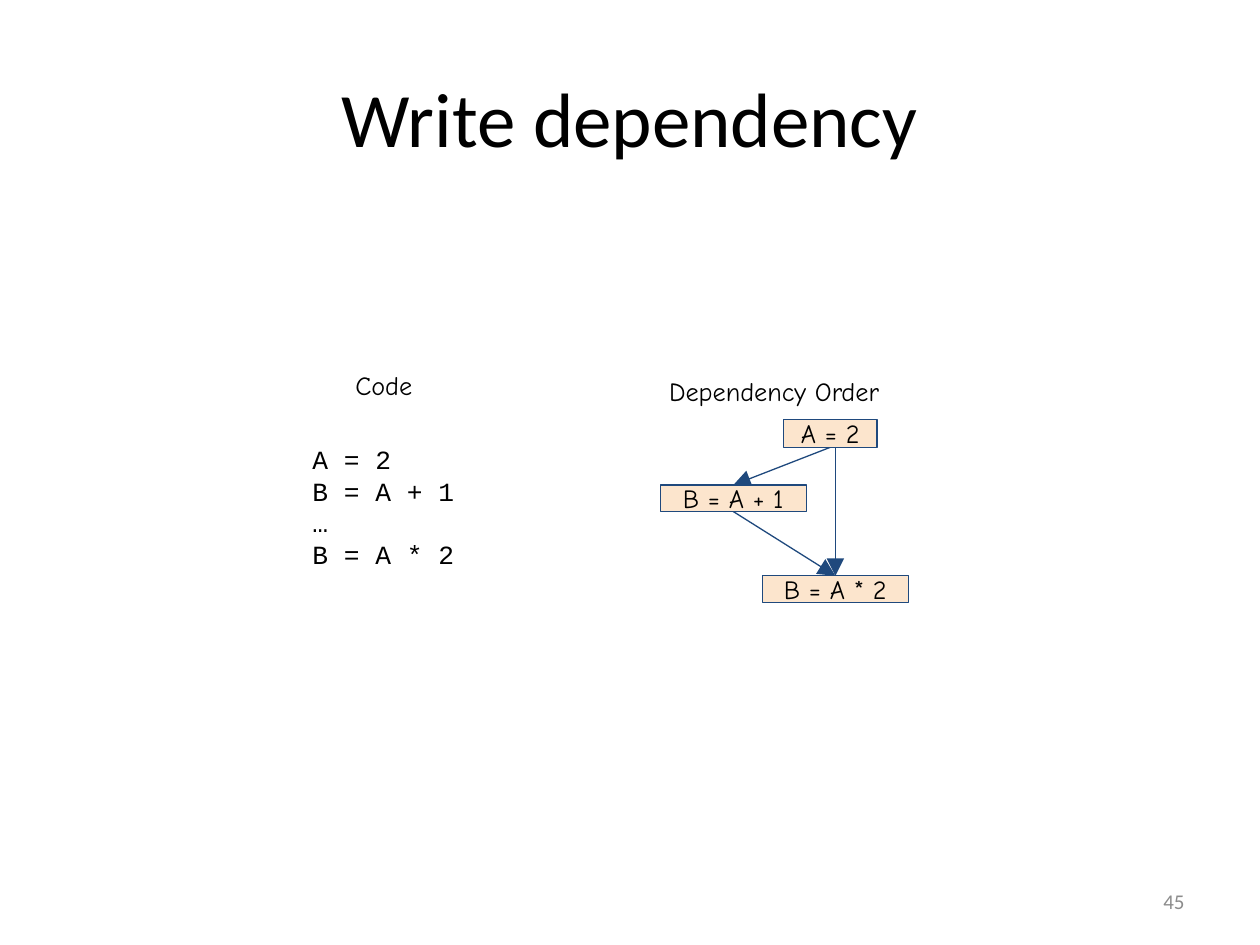
from lxml.etree import SubElement
from pptx import Presentation
from pptx.dml.color import RGBColor
from pptx.enum.shapes import MSO_CONNECTOR, MSO_SHAPE
from pptx.enum.text import MSO_ANCHOR, PP_ALIGN
from pptx.oxml.ns import qn
from pptx.util import Inches, Pt

BLACK = RGBColor(0x00, 0x00, 0x00)
GRAY = RGBColor(0x8C, 0x8C, 0x8C)
NAVY = RGBColor(0x1F, 0x49, 0x7D)
PEACH = RGBColor(0xFC, 0xE5, 0xCD)


def write(shape, text, font="Comic Neue", size=15, color=BLACK, align=PP_ALIGN.LEFT,
          anchor=MSO_ANCHOR.TOP, inset=0.07, spacing=1.0):
    frame = shape.text_frame
    frame.word_wrap = True
    frame.vertical_anchor = anchor
    frame.margin_left = frame.margin_right = Inches(inset)
    frame.margin_top = frame.margin_bottom = Inches(min(inset, 0.07))
    frame.text = text
    for paragraph in frame.paragraphs:
        paragraph.alignment = align
        paragraph.line_spacing = spacing
        paragraph.font.name = font
        paragraph.font.size = Pt(size)
        paragraph.font.color.rgb = color


presentation = Presentation()
presentation.slide_width = Inches(10)
presentation.slide_height = Inches(7.5)
slide = presentation.slides.add_slide(presentation.slide_layouts[6])

labels = [
    ("Write dependency", (0.5, 0.3, 9, 1.25),
     dict(font="Calibri", size=44, align=PP_ALIGN.CENTER, anchor=MSO_ANCHOR.MIDDLE, inset=0.1)),
    ("Dependency Order", (5.24, 2.86, 2.51, 0.25), dict(spacing=1.2)),
    ("Code", (2.75, 2.86, 1.07, 0.32), {}),
    ("A = 2\nB = A + 1\n…\nB = A * 2", (2.41, 3.45, 1.47, 0.84), dict(font="Courier New")),
    ("45", (7.17, 6.95, 2.33, 0.4),
     dict(font="Calibri", size=12, color=GRAY, align=PP_ALIGN.RIGHT,
          anchor=MSO_ANCHOR.MIDDLE, inset=0.1)),
]
for text, bounds, style in labels:
    label = slide.shapes.add_textbox(*map(Inches, bounds))
    write(label, text, **style)

dependencies = [
    (5.82, 4.06, 6.63, 4.57),
    (6.59, 3.55, 5.82, 3.85),
    (6.63, 3.55, 6.63, 4.57),
]
for ends in dependencies:
    arrow = slide.shapes.add_connector(MSO_CONNECTOR.STRAIGHT, *map(Inches, ends))
    arrow.line.color.rgb = NAVY
    arrow.line.width = Pt(0.75)
    SubElement(arrow.line._get_or_add_ln(), qn("a:tailEnd"), type="triangle", w="lg", len="lg")
    SubElement(arrow._element.spPr, qn("a:effectLst"))

statements = [
    ("A = 2", 6.22, 3.33, 0.74, 0.22),
    ("B = A + 1", 5.24, 3.85, 1.16, 0.21),
    ("B = A * 2", 6.05, 4.57, 1.16, 0.21),
]
for text, *bounds in statements:
    statement = slide.shapes.add_shape(MSO_SHAPE.RECTANGLE, *map(Inches, bounds))
    statement.shadow.inherit = False
    statement.fill.solid()
    statement.fill.fore_color.rgb = PEACH
    statement.line.color.rgb = NAVY
    statement.line.width = Pt(0.75)
    write(statement, text, align=PP_ALIGN.CENTER, anchor=MSO_ANCHOR.MIDDLE)

presentation.save("out.pptx")
